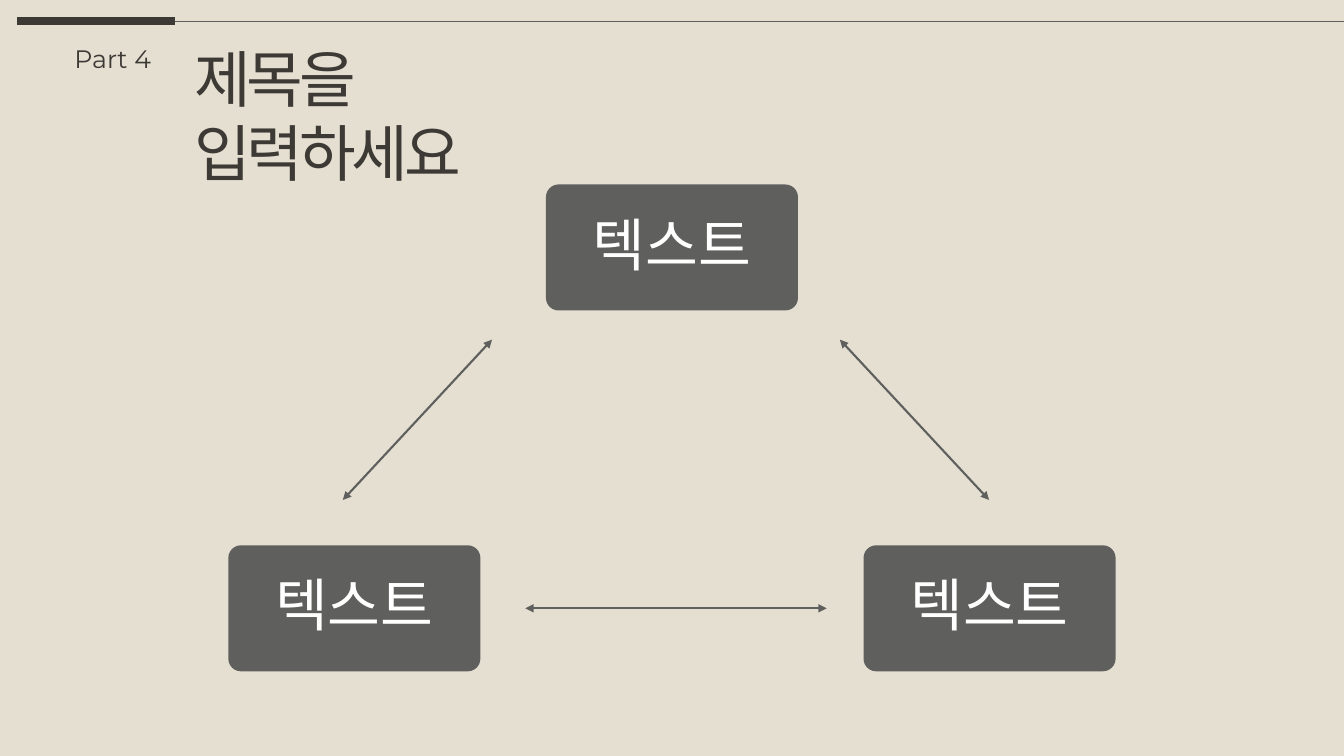
import pptx
import pptx.util
import pptx.dml.color
import pptx.enum.shapes
import pptx.enum.text
import pptx.oxml.ns
import lxml.etree

In, Pt = pptx.util.Inches, pptx.util.Pt
W, H = 13.33, 7.5
DARK, GREY, CREAM, WHITE = "3D3A35", "5F5F5D", "E5DFD2", "FFFFFF"


def color(fmt, value):
    fmt.rgb = pptx.dml.color.RGBColor.from_string(value)


def add_line(x1, y1, x2, y2, value, width, arrows=False):
    c = s.shapes.add_connector(pptx.enum.shapes.MSO_CONNECTOR.STRAIGHT,
                               In(x1), In(y1), In(x2), In(y2))
    color(c.line.color, value)
    c.line.width = Pt(width)
    if arrows:
        ln = c.line._get_or_add_ln()
        for end in ("a:headEnd", "a:tailEnd"):
            lxml.etree.SubElement(ln, pptx.oxml.ns.qn(end), type="triangle")
    lxml.etree.SubElement(c._element.spPr, pptx.oxml.ns.qn("a:effectLst"))


prs = pptx.Presentation()
prs.slide_width, prs.slide_height = In(W), In(H)
s = prs.slides.add_slide(prs.slide_layouts[6])
s.background.fill.solid()
color(s.background.fill.fore_color, CREAM)

# Header rule: thick start, thin rest
add_line(0.17, 0.21, 1.74, 0.21, DARK, 6)
add_line(1.74, 0.21, W, 0.21, GREY, 0.5)

# Title and part label
for text, x, y, w, h, size, spacing in (
        ("제목을 입력하세요", 1.83, 0.36, 4.26, 0.84, 44, -3),
        ("Part 4", 0.64, 0.38, 0.99, 0.4, 18, 0)):
    tf = s.shapes.add_textbox(In(x), In(y), In(w), In(h)).text_frame
    tf.word_wrap = True
    tf.text = text
    r = tf.paragraphs[0].runs[0]
    r.font.name, r.font.size = "Montserrat", Pt(size)
    color(r.font.color, DARK)
    if spacing:
        r._r.get_or_add_rPr().set("spc", str(spacing * 100))

# Three boxes at the corners of a triangle
BOX_W, BOX_H = 2.5, 1.25
TOP, BOTTOM, SPREAD = 1.83, 5.41, 3.15
for dx, y in ((0, TOP), (SPREAD, BOTTOM), (-SPREAD, BOTTOM)):
    sp = s.shapes.add_shape(pptx.enum.shapes.MSO_SHAPE.ROUNDED_RECTANGLE,
                            In(W / 2 + dx - BOX_W / 2), In(y), In(BOX_W), In(BOX_H))
    sp.adjustments[0] = 0.1
    sp.shadow.inherit = False
    sp.fill.solid()
    color(sp.fill.fore_color, GREY)
    sp.line.fill.background()
    tf = sp.text_frame
    tf.margin_left = tf.margin_right = tf.margin_top = tf.margin_bottom = In(0.21)
    tf.vertical_anchor = pptx.enum.text.MSO_ANCHOR.MIDDLE
    tf.text = "텍스트"
    p = tf.paragraphs[0]
    p.alignment = pptx.enum.text.PP_ALIGN.CENTER
    p.line_spacing, p.space_after = 0.9, Pt(14)
    r = p.runs[0]
    r.font.name, r.font.size = "Montserrat", Pt(41)
    color(r.font.color, WHITE)

# Double arrows between the boxes
BASE = BOTTOM + BOX_H / 2
for x1, y1, x2, y2 in ((4.88, 3.37, 3.4, 4.96),
                       (9.81, 4.96, 8.33, 3.37),
                       (5.21, BASE, 8.2, BASE)):
    add_line(x1, y1, x2, y2, GREY, 1.5, arrows=True)

prs.save("out.pptx")
